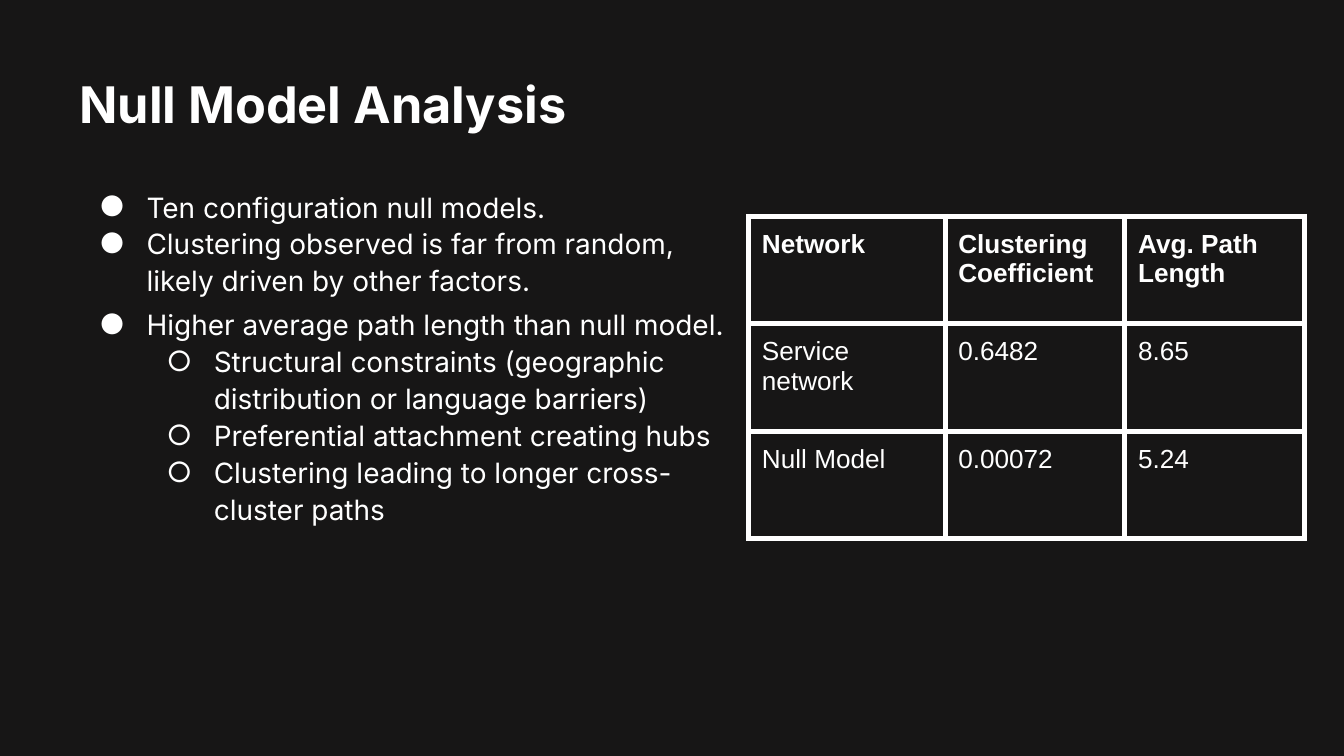
from lxml.etree import SubElement
from pptx import Presentation
from pptx.dml.color import RGBColor
from pptx.enum.text import MSO_ANCHOR, MSO_AUTO_SIZE, PP_ALIGN
from pptx.oxml import parse_xml
from pptx.oxml.ns import nsdecls, qn
from pptx.util import Cm, Pt

WHITE = RGBColor(0xFF, 0xFF, 0xFF)
CHARCOAL = RGBColor(0x17, 0x16, 0x16)

TITLE = "Null Model Analysis"
BULLETS = [
    (0, 1.1, "Ten configuration null models."),
    (0, 1.1, "Clustering observed is far from random, likely driven by other factors."),
    (0, 1.3, "Higher average path length than null model."),
    (1, 1.1, "Structural constraints (geographic distribution or language barriers)"),
    (1, 1.1, "Preferential attachment creating hubs"),
    (1, 1.1, "Clustering leading to longer cross-cluster paths"),
]
MARKERS = "●○"
METRICS = [
    ("Network", "Clustering Coefficient", "Avg. Path Length"),
    ("Service network", "0.6482", "8.65"),
    ("Null Model", "0.00072", "5.24"),
]
COLUMN_WIDTHS = [Cm(3.71), Cm(3.4), Cm(3.4)]
ROW_HEIGHT = Cm(2.03)
CELL_MARGIN = Cm(0.25)


def add_span(para, text, font_name, size, bold=False):
    span = para.add_run()
    span.text = text
    span.font.name = font_name
    span.font.size = Pt(size)
    span.font.bold = bold
    span.font.color.rgb = WHITE


def place(box, left, top, width, height, anchor):
    box.left, box.top, box.width, box.height = left, top, width, height
    frame = box.text_frame
    frame.word_wrap = True
    frame.auto_size = MSO_AUTO_SIZE.NONE
    frame.vertical_anchor = anchor
    frame.margin_left = frame.margin_right = Cm(0.18)
    frame.margin_top = frame.margin_bottom = Cm(0.1)
    return frame


def add_bullet(para, level):
    properties = para._p.get_or_add_pPr()
    properties.set("marL", str(Cm(1.27) * (level + 1)))
    properties.set("indent", str(-Cm(0.89)))
    color = SubElement(properties, qn("a:buClr"))
    SubElement(color, qn("a:srgbClr"), val=str(WHITE))
    SubElement(properties, qn("a:buFont"), typeface="Inter")
    SubElement(properties, qn("a:buChar"), char=MARKERS[level])


def add_borders(cell):
    properties = cell._tc.get_or_add_tcPr()
    for position, side in enumerate(("lnL", "lnR", "lnT", "lnB")):
        border = parse_xml(
            f'<a:{side} {nsdecls("a")} w="{Pt(3)}"><a:solidFill>'
            f'<a:srgbClr val="{WHITE}"/></a:solidFill></a:{side}>'
        )
        properties.insert(position, border)


def fill_cell(cell, text, bold):
    cell.margin_left = cell.margin_right = CELL_MARGIN
    cell.margin_top = cell.margin_bottom = CELL_MARGIN
    cell.vertical_anchor = MSO_ANCHOR.TOP
    cell.fill.background()
    add_borders(cell)
    add_span(cell.text_frame.paragraphs[0], text, "Arial", 14, bold)


def main():
    deck = Presentation()
    deck.slide_width, deck.slide_height = Cm(25.4), Cm(14.29)
    page = deck.slides.add_slide(deck.slide_layouts[1])
    page.background.fill.solid()
    page.background.fill.fore_color.rgb = CHARCOAL

    frame = place(page.shapes.title, Cm(1.32), Cm(1.27), Cm(12.2), Cm(1.35), MSO_ANCHOR.MIDDLE)
    para = frame.paragraphs[0]
    para.alignment = PP_ALIGN.LEFT
    add_span(para, TITLE, "Inter", 27, True)

    frame = place(page.placeholders[1], Cm(1.32), Cm(3.43), Cm(12.83), Cm(7.06), MSO_ANCHOR.TOP)
    for index, (level, spacing, text) in enumerate(BULLETS):
        para = frame.add_paragraph() if index else frame.paragraphs[0]
        para.level = level
        add_bullet(para, level)
        para.line_spacing = spacing
        para.space_before = Pt(0)
        add_span(para, text, "Inter", 15)

    table = page.shapes.add_table(
        len(METRICS), len(COLUMN_WIDTHS), Cm(14.15), Cm(4.09),
        sum(COLUMN_WIDTHS), ROW_HEIGHT * len(METRICS),
    ).table
    table.first_row = table.horz_banding = False
    for column, width in zip(table.columns, COLUMN_WIDTHS):
        column.width = width
    for row_index, values in enumerate(METRICS):
        for column_index, value in enumerate(values):
            fill_cell(table.cell(row_index, column_index), value, row_index == 0)

    deck.save("out.pptx")


if __name__ == "__main__":
    main()
